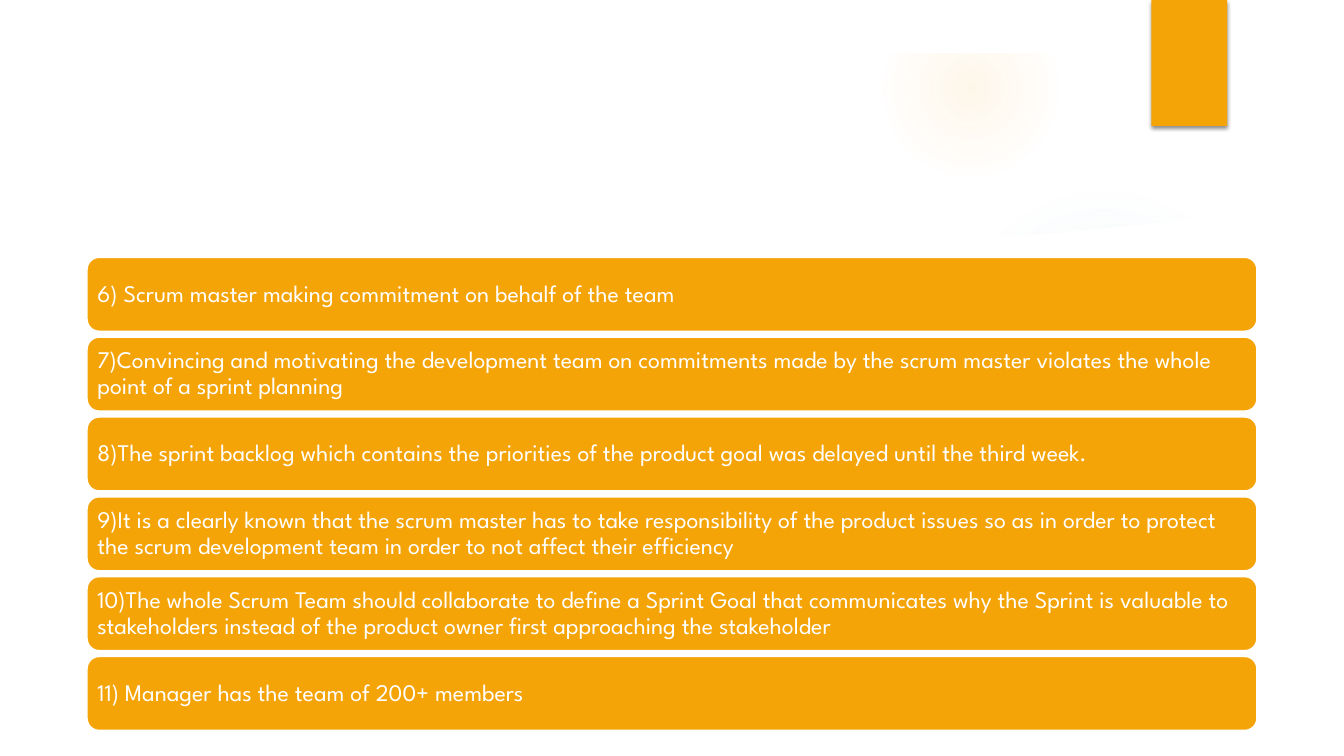
import pptx
import pptx.util
import pptx.dml.color
import pptx.enum.shapes
import pptx.enum.text
import pptx.oxml
import pptx.oxml.ns

POINTS = [
    "6) Scrum master making commitment on behalf of the team",
    "7)Convincing and motivating the development team on commitments made by the scrum master violates the whole point of a sprint planning",
    "8)The sprint backlog which contains the priorities of the product goal was delayed until the third week.",
    "9)It is a clearly known that the scrum master has to take responsibility of the product issues so as in order to protect the scrum development team in order to not affect their efficiency",
    "10)The whole Scrum Team should collaborate to define a Sprint Goal that communicates why the Sprint is valuable to stakeholders instead of the product owner first approaching the stakeholder",
    "11) Manager has the team of 200+ members",
]
COLORS = {"white": "FFFFFF", "amber": "F5A408", "sun": "FAC96A", "sky": "8EBBD2"}
GLOWS = [
    (9.41, 1.83, 3.08, "sky", [(0, 7), (36, 6), (69, 0)]),
    (8.75, 0, 1.75, "sun", [(0, 14), (36, 7), (73, 0)]),
]
FONT = "League Spartan"
WIDE, HIGH = 13.33, 7.5
LEFT, TOP, LAST = 0.86, 2.55, 6.51
BAR_W, BAR_H = 11.61, 0.74
EDGE, DIP, RISE = 0.5, 2.48, 0.44

Inches = pptx.util.Inches
Pt = pptx.util.Pt
KIND = pptx.enum.shapes.MSO_SHAPE


def color(name):
    return pptx.dml.color.RGBColor.from_string(COLORS[name])


def paint(shape, name):
    shape.fill.solid()
    shape.fill.fore_color.rgb = color(name)
    shape.line.fill.background()
    shape.shadow.inherit = False
    return shape


def add(slide, kind, left, top, width, height, name):
    box = [Inches(v) for v in (left, top, width, height)]
    return paint(slide.shapes.add_shape(kind, *box), name)


def add_glow(slide, left, top, size, name, stops):
    glow = add(slide, KIND.OVAL, left, top, size, size, name)
    marks = "".join(
        f'<a:gs pos="{pos * 1000}"><a:srgbClr val="{COLORS[name]}">'
        f'<a:alpha val="{alpha * 1000}"/></a:srgbClr></a:gs>'
        for pos, alpha in stops
    )
    grad = pptx.oxml.parse_xml(
        f'<a:gradFill {pptx.oxml.ns.nsdecls("a")}><a:gsLst>{marks}</a:gsLst>'
        '<a:path path="circle"><a:fillToRect l="50000" t="50000" r="50000" b="50000"/>'
        '</a:path></a:gradFill>'
    )
    props = glow._element.spPr
    props.replace(props.find(pptx.oxml.ns.qn("a:solidFill")), grad)


def add_sheet(slide):
    half = WIDE / 2 - EDGE
    steps = [n / 20 for n in range(-20, 21)]
    curve = [(WIDE / 2 + t * half, DIP - RISE * t * t) for t in steps]
    curve += [(WIDE - EDGE, 7), (EDGE, 7)]
    spots = [(Inches(x), Inches(y)) for x, y in curve]
    path = slide.shapes.build_freeform(*spots[0])
    path.add_line_segments(spots[1:], close=True)
    paint(path.convert_to_shape(), "white")


def add_tab(slide):
    tab = add(slide, KIND.RECTANGLE, 11.42, 0, 0.75, 1.25, "amber")
    shade = pptx.oxml.parse_xml(
        f'<a:outerShdw {pptx.oxml.ns.nsdecls("a")} blurRad="{Pt(3)}" dist="{Pt(2)}" '
        'dir="5400000" rotWithShape="0"><a:srgbClr val="000000">'
        '<a:alpha val="45000"/></a:srgbClr></a:outerShdw>'
    )
    tab._element.spPr.find(pptx.oxml.ns.qn("a:effectLst")).append(shade)


def add_bar(slide, top, text):
    bar = add(slide, KIND.ROUNDED_RECTANGLE, LEFT, top, BAR_W, BAR_H, "amber")
    bar.line.color.rgb = color("white")
    bar.line.width = Pt(1.5)
    frame = bar.text_frame
    frame.text = text
    frame.word_wrap = True
    frame.vertical_anchor = pptx.enum.text.MSO_ANCHOR.MIDDLE
    frame.margin_left = frame.margin_right = Inches(0.07)
    frame.margin_top = frame.margin_bottom = Inches(0.07)
    para = frame.paragraphs[0]
    para.alignment = pptx.enum.text.PP_ALIGN.LEFT
    para.line_spacing = 0.9
    font = para.runs[0].font
    font.name = FONT
    font.size = Pt(17)
    font.color.rgb = color("white")


def main():
    deck = pptx.Presentation()
    deck.slide_width, deck.slide_height = Inches(WIDE), Inches(HIGH)
    slide = deck.slides.add_slide(deck.slide_layouts[6])
    for glow in GLOWS:
        add_glow(slide, *glow)
    add_sheet(slide)
    border = add(slide, KIND.FRAME, 0, 0, WIDE, HIGH, "white")
    border.adjustments[0] = 0.07
    add_tab(slide)
    pitch = (LAST - TOP) / (len(POINTS) - 1)
    for row, text in enumerate(POINTS):
        add_bar(slide, TOP + row * pitch, text)
    deck.save("out.pptx")


if __name__ == "__main__":
    main()
